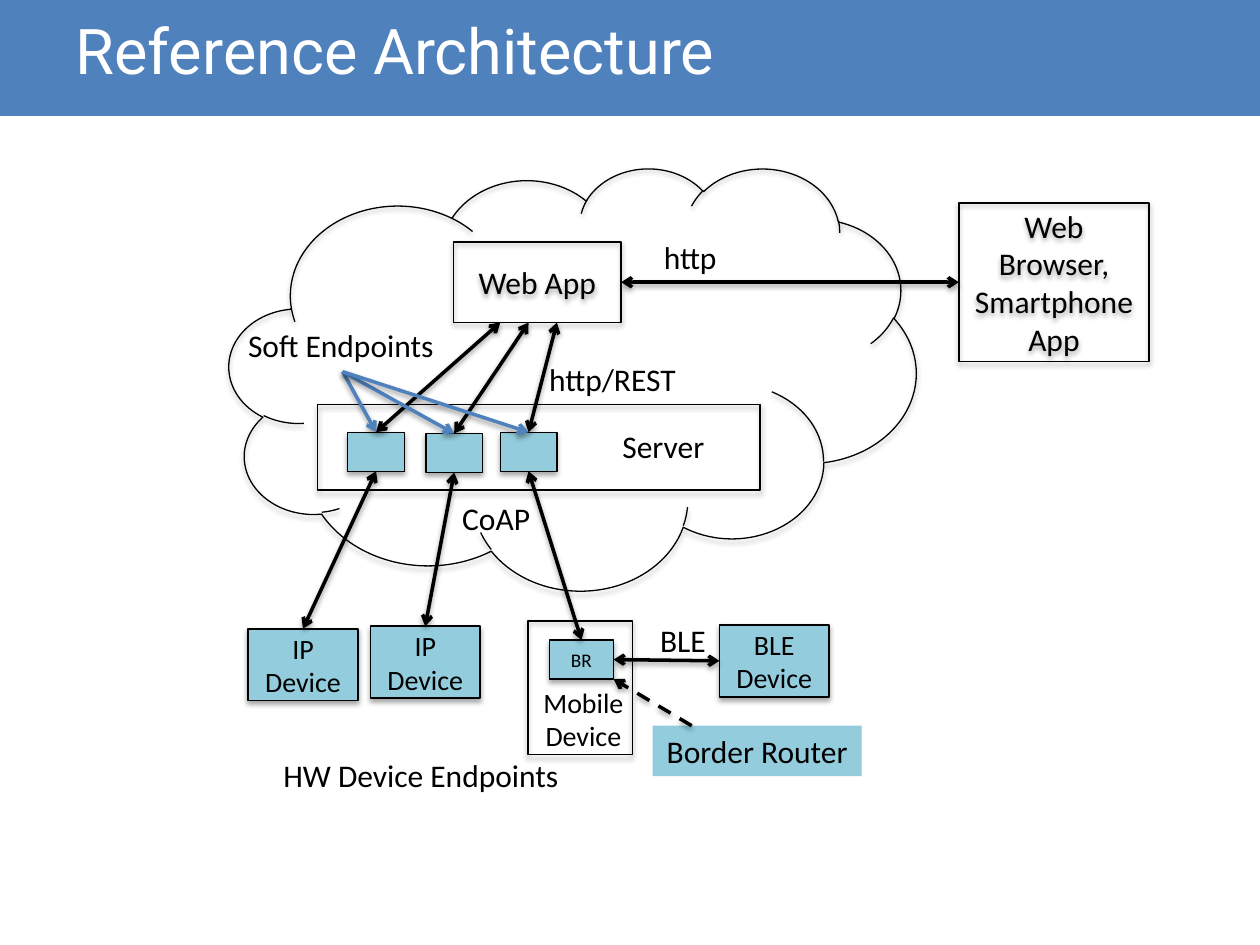
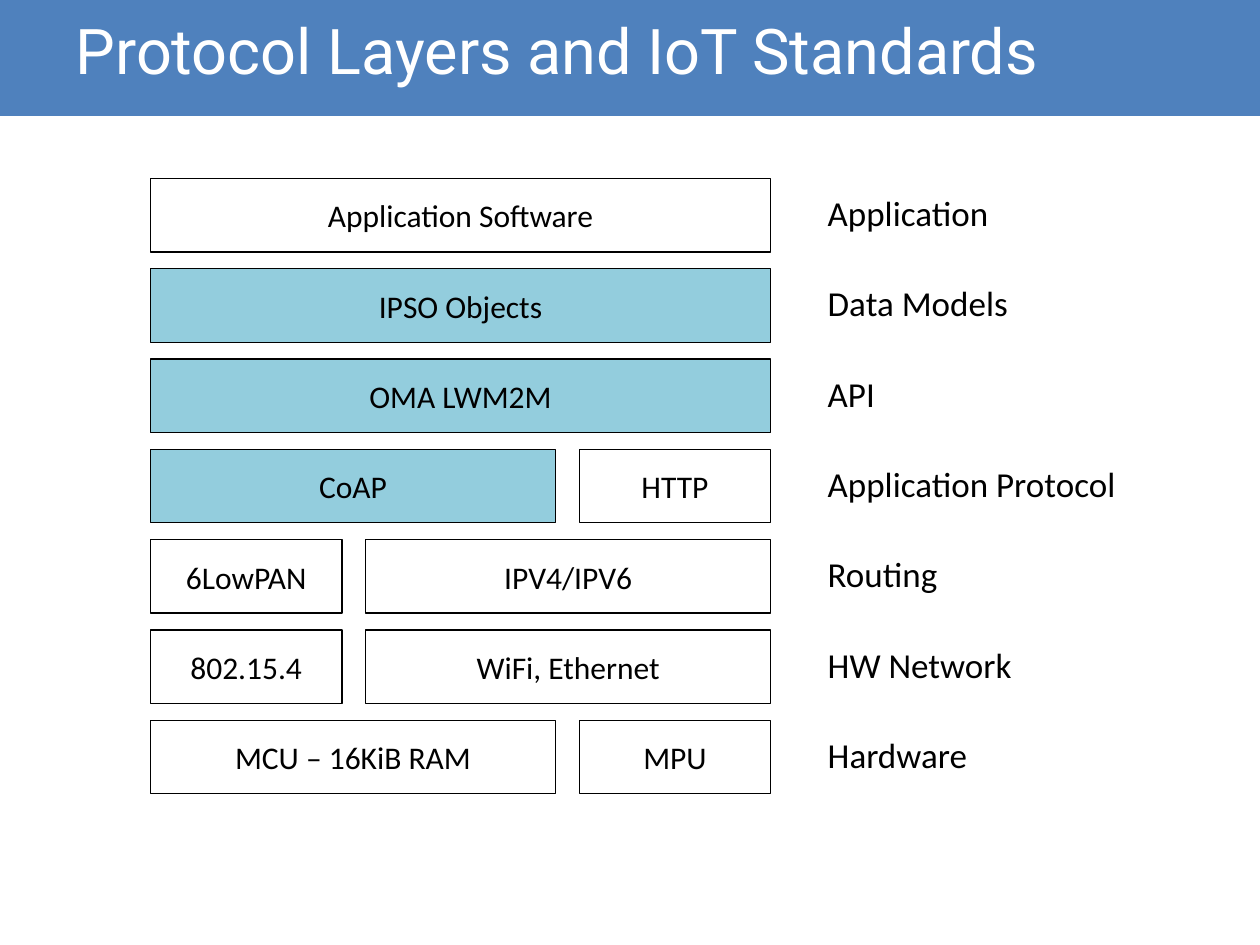
from dataclasses import dataclass
from typing import NamedTuple, Optional

from lxml.etree import SubElement
from pptx import Presentation
from pptx.dml.color import RGBColor
from pptx.enum.dml import MSO_LINE
from pptx.enum.shapes import MSO_CONNECTOR, MSO_SHAPE
from pptx.enum.text import MSO_ANCHOR, MSO_AUTO_SIZE, PP_ALIGN
from pptx.oxml.ns import qn
from pptx.slide import Slide
from pptx.text.text import TextFrame
from pptx.util import Pt


class Shadow(NamedTuple):
    opacity: int
    blur: float
    distance: float


@dataclass(frozen=True)
class Theme:
    blue: RGBColor = RGBColor(0x4F, 0x81, 0xBD)
    aqua: RGBColor = RGBColor(0x93, 0xCD, 0xDD)
    black: RGBColor = RGBColor(0, 0, 0)
    white: RGBColor = RGBColor(255, 255, 255)
    title_font: str = "Roboto"
    body_font: str = "Calibri"
    title_size: float = 36
    layer_size: float = 20
    text_size: float = 18
    device_size: float = 16
    small_size: float = 11
    thin: float = 0.75
    medium: float = 1
    thick: float = 2
    box_shadow: Shadow = Shadow(35, 3.1, 1.8)
    arrow_shadow: Shadow = Shadow(38, 3.1, 1.6)


THEME = Theme()


class Point(NamedTuple):
    x: float
    y: float


@dataclass(frozen=True)
class Box:
    left: float
    top: float
    width: float
    height: float
    text: str = ""
    fill: Optional[RGBColor] = None
    size: float = THEME.text_size
    line_width: float = THEME.medium
    preset: MSO_SHAPE = MSO_SHAPE.RECTANGLE
    shadow: Optional[Shadow] = THEME.box_shadow

    @property
    def right(self) -> float:
        return self.left + self.width

    @property
    def bottom(self) -> float:
        return self.top + self.height

    @property
    def top_middle(self) -> Point:
        return Point(self.left + self.width / 2, self.top)

    @property
    def bottom_middle(self) -> Point:
        return Point(self.left + self.width / 2, self.bottom)

    @property
    def left_middle(self) -> Point:
        return Point(self.left, self.top + self.height / 2)

    @property
    def right_middle(self) -> Point:
        return Point(self.right, self.top + self.height / 2)


@dataclass(frozen=True)
class Label:
    left: float
    top: float
    width: float
    text: str
    height: float = 28.8
    size: float = THEME.text_size
    centered: bool = False
    grow: bool = True


@dataclass(frozen=True)
class Arrow:
    start: Point
    end: Point
    color: RGBColor = THEME.black
    double: bool = True
    dashed: bool = False


@dataclass(frozen=True)
class Cell:
    text: str
    narrow: bool = False
    fill: Optional[RGBColor] = None


@dataclass(frozen=True)
class Layer:
    name: str
    cells: tuple[Cell, ...]


def write(frame: TextFrame, text: str, size: float, color: RGBColor = THEME.black,
          font: str = THEME.body_font, align: PP_ALIGN = PP_ALIGN.LEFT) -> None:
    paragraph = frame.paragraphs[0]
    paragraph.alignment = align
    run = paragraph.add_run()
    run.text = text
    run.font.size = Pt(size)
    run.font.name = font
    run.font.color.rgb = color


def set_shadow(properties, shadow: Optional[Shadow]) -> None:
    effects = SubElement(properties, qn("a:effectLst"))
    if shadow:
        outer = SubElement(effects, qn("a:outerShdw"), blurRad=str(Pt(shadow.blur)),
                           dist=str(Pt(shadow.distance)), dir="5400000", rotWithShape="0")
        color = SubElement(outer, qn("a:srgbClr"), val=str(THEME.black))
        SubElement(color, qn("a:alpha"), val=str(shadow.opacity * 1000))


def add_box(slide: Slide, box: Box):
    shape = slide.shapes.add_shape(box.preset, Pt(box.left), Pt(box.top),
                                   Pt(box.width), Pt(box.height))
    if box.fill is None:
        shape.fill.background()
    else:
        shape.fill.solid()
        shape.fill.fore_color.rgb = box.fill
    if box.line_width:
        shape.line.color.rgb = THEME.black
        shape.line.width = Pt(box.line_width)
    else:
        shape.line.fill.background()
    set_shadow(shape.element.spPr, box.shadow)
    if box.text:
        shape.text_frame.vertical_anchor = MSO_ANCHOR.MIDDLE
        write(shape.text_frame, box.text, box.size, align=PP_ALIGN.CENTER)
    return shape


def add_label(slide: Slide, label: Label) -> None:
    frame = slide.shapes.add_textbox(Pt(label.left), Pt(label.top),
                                     Pt(label.width), Pt(label.height)).text_frame
    frame.word_wrap = label.centered
    if label.grow:
        frame.auto_size = MSO_AUTO_SIZE.SHAPE_TO_FIT_TEXT
    else:
        frame.margin_left = frame.margin_top = frame.margin_right = frame.margin_bottom = 0
    write(frame, label.text, label.size,
          align=PP_ALIGN.CENTER if label.centered else PP_ALIGN.LEFT)


def add_arrow(slide: Slide, arrow: Arrow) -> None:
    connector = slide.shapes.add_connector(
        MSO_CONNECTOR.STRAIGHT, Pt(arrow.start.x), Pt(arrow.start.y),
        Pt(arrow.end.x), Pt(arrow.end.y))
    connector.line.color.rgb = arrow.color
    connector.line.width = Pt(THEME.thick)
    if arrow.dashed:
        connector.line.dash_style = MSO_LINE.DASH
    properties = connector.element.spPr
    line = properties.find(qn("a:ln"))
    if arrow.double:
        SubElement(line, qn("a:headEnd"), type="arrow")
    SubElement(line, qn("a:tailEnd"), type="arrow")
    set_shadow(properties, THEME.arrow_shadow)


def add_titled_slide(presentation, text: str) -> Slide:
    slide = presentation.slides.add_slide(presentation.slide_layouts[5])
    title = slide.shapes.title
    band = add_box(slide, Box(0, 0, 720, 66.24, fill=THEME.blue, line_width=0, shadow=None))
    title.element.addprevious(band.element)
    title.left, title.top, title.width, title.height = Pt(36), Pt(-16.56), Pt(648), Pt(90)
    title.text_frame.vertical_anchor = MSO_ANCHOR.MIDDLE
    write(title.text_frame, text, THEME.title_size, THEME.white, THEME.title_font)
    return slide


def device(left: float, top: float, text: str) -> Box:
    return Box(left, top, 62.64, 41.04, text, THEME.aqua, THEME.device_size)


def build_architecture(presentation) -> None:
    slide = add_titled_slide(presentation, "Reference Architecture")
    ble_device = device(411.12, 357.12, "BLE Device")
    ip_devices = [device(141.84, 359.28, "IP Device"), device(211.68, 357.84, "IP Device")]
    mobile_device = Box(301.68, 354.96, 59.76, 76.32)
    server = Box(181.44, 231.12, 252.72, 48.96)
    web_app = Box(259.2, 138.24, 95.76, 46.08, "Web App")
    browser = Box(547.92, 115.92, 108.72, 90.72, "Web Browser, Smartphone App")
    cloud = Box(131.04, 95.76, 392.4, 241.2, line_width=THEME.thin, preset=MSO_SHAPE.CLOUD)
    soft_endpoints = [Box(left, top, 32.4, 22.32, fill=THEME.aqua, line_width=THEME.thin)
                      for left, top in ((198.72, 246.96), (243.36, 247.68), (285.84, 246.96))]
    router = Box(313.92, 365.76, 36.72, 22.32, "BR", THEME.aqua,
                 THEME.small_size, THEME.thin)
    router_legend = Box(372.96, 414.72, 119.52, 28.8, "Border Router", THEME.aqua,
                        line_width=0, shadow=None)
    for box in (ble_device, mobile_device, server, web_app, browser, cloud,
                *soft_endpoints, router, *ip_devices, router_legend):
        add_box(slide, box)

    for label in (
        Label(298.08, 388.08, 70.56, "Mobile Device", 46.08, THEME.device_size, True),
        Label(321.12, 240.48, 115.92, "Server", centered=True),
        Label(372.24, 132.48, 45.36, "http"),
        Label(306.72, 202.32, 88.56, "http/REST"),
        Label(257.04, 281.52, 54, "CoAP"),
        Label(370.08, 351.36, 41.04, "BLE"),
        Label(134.64, 182.88, 121.68, "Soft Endpoints"),
        Label(154.8, 428.4, 173.52, "HW Device Endpoints"),
    ):
        add_label(slide, label)

    arrows = [Arrow(browser.left_middle, web_app.right_middle),
              Arrow(router.right_middle, ble_device.left_middle)]
    legend_tip = Point(195.84, 212.4)
    for index, (soft, hardware) in enumerate(zip(soft_endpoints, [*ip_devices, router])):
        arrows += [
            Arrow(Point(285.84 + 16.2 * index, web_app.bottom), soft.top_middle),
            Arrow(soft.bottom_middle, hardware.top_middle),
        ]
    arrows += [Arrow(legend_tip, soft.top_middle, THEME.blue, double=False)
               for soft in soft_endpoints]
    arrows.append(Arrow(Point(395.28, router_legend.top), Point(router.right, router.bottom),
                        double=False, dashed=True))
    for arrow in arrows:
        add_arrow(slide, arrow)


def build_layers(presentation) -> None:
    slide = add_titled_slide(presentation, "Protocol Layers and IoT Standards")
    layers = (
        Layer("Application", (Cell("Application Software"),)),
        Layer("Data Models", (Cell("IPSO Objects", fill=THEME.aqua),)),
        Layer("API", (Cell("OMA LWM2M", fill=THEME.aqua),)),
        Layer("Application Protocol", (Cell("CoAP", fill=THEME.aqua), Cell("HTTP", True))),
        Layer("Routing", (Cell("6LowPAN", True), Cell("IPV4/IPV6"))),
        Layer("HW Network", (Cell("802.15.4", True), Cell("WiFi, Ethernet"))),
        Layer("Hardware", (Cell("MCU – 16KiB RAM"), Cell("MPU", True))),
    )
    stack_left, stack_width, narrow_width, gap = 86, 354.4, 109.4, 13.6
    first_top, pitch, height = 102, 51.6, 42
    for row, layer in enumerate(layers):
        top = first_top + row * pitch
        left = stack_left
        for cell in layer.cells:
            if cell.narrow:
                width = narrow_width
            elif len(layer.cells) == 1:
                width = stack_width
            else:
                width = stack_width - narrow_width - gap
            add_box(slide, Box(left, top, width, height, cell.text, cell.fill,
                               line_width=THEME.thin, shadow=None))
            left += width + gap
        add_label(slide, Label(473, top + 7.5, 180, layer.name, 23.76,
                               THEME.layer_size, grow=False))


def main() -> None:
    presentation = Presentation()
    presentation.slide_width, presentation.slide_height = Pt(720), Pt(540)
    build_architecture(presentation)
    build_layers(presentation)
    presentation.save("out.pptx")


if __name__ == "__main__":
    main()
